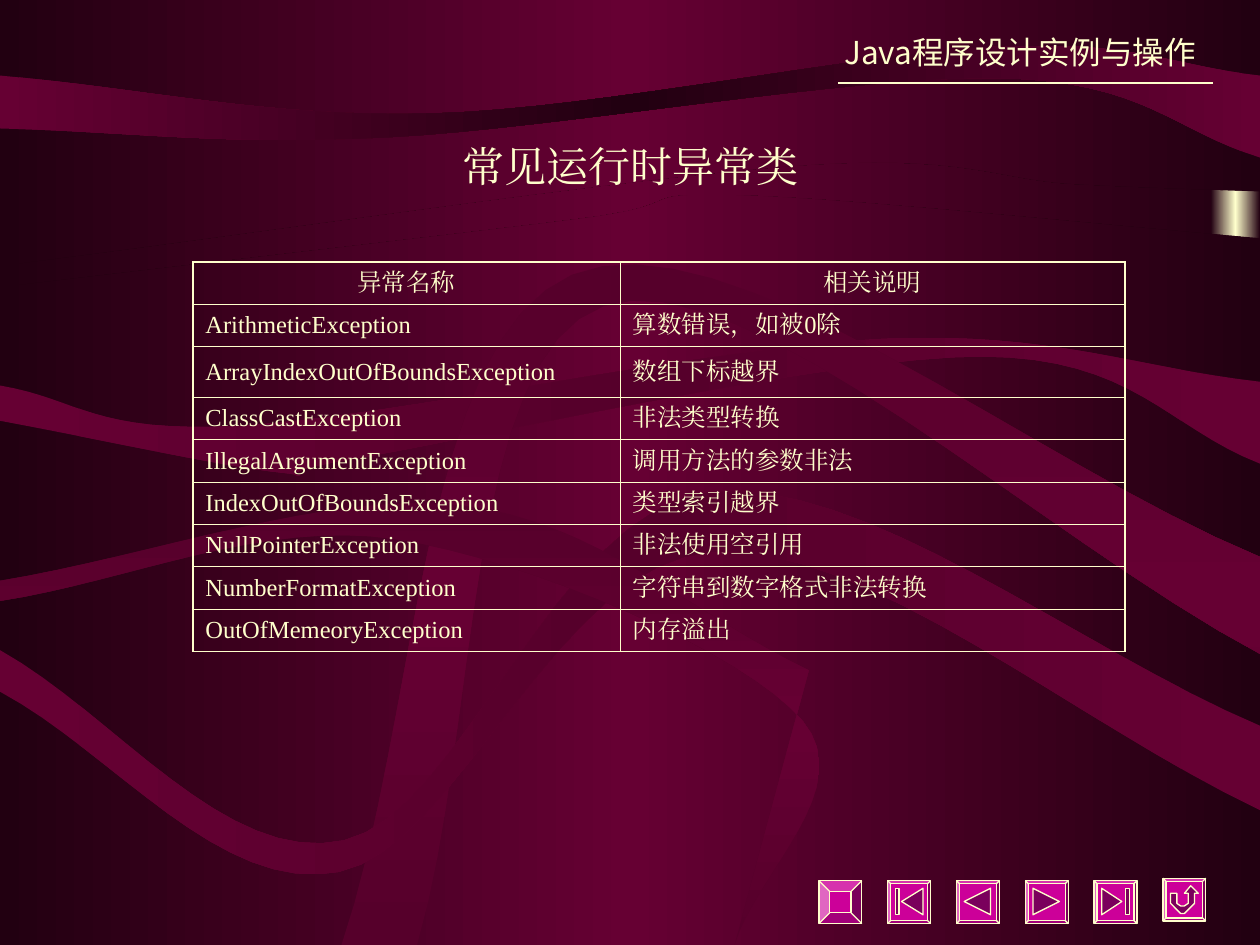
from copy import deepcopy

from lxml.etree import SubElement
from pptx import Presentation
from pptx.dml.color import RGBColor
from pptx.enum.shapes import MSO_CONNECTOR as Connector, MSO_SHAPE as Shape
from pptx.enum.text import MSO_ANCHOR as Anchor, PP_ALIGN as Align
from pptx.oxml.ns import qn
from pptx.util import Pt

PX = 9144  # 100 px to the inch
WIDTH, HEIGHT = 1000, 750
CREAM, WINE, DARK, MAROON = "FFFFCC", "660033", "220011", "56002B"
PINK, PLUM = "CC0099", "7A005C"
SERIF, SANS = "Times New Roman", "Noto Sans CJK SC"

HEADER = "Java程序设计实例与操作"
TITLE = "常见运行时异常类"
EXCEPTIONS = [
    ("异常名称", "相关说明"),
    ("ArithmeticException", "算数错误，如被0除"),
    ("ArrayIndexOutOfBoundsException", "数组下标越界"),
    ("ClassCastException", "非法类型转换"),
    ("IllegalArgumentException", "调用方法的参数非法"),
    ("IndexOutOfBoundsException", "类型索引越界"),
    ("NullPointerException", "非法使用空引用"),
    ("NumberFormatException", "字符串到数字格式非法转换"),
    ("OutOfMemeoryException", "内存溢出"),
]
TABLE = dict(left=153, top=208, height=309, columns=(339, 401), tall_row=2, tall=40)

RIBBONS = [  # edge colour, middle colour, angle, upper curve, lower curve
    (DARK, WINE, 180, [(0, 0), (WIDTH, 0)], [(0, 211), (625, 132), (852, 146), (WIDTH, 152)]),
    (DARK, WINE, 180, [(0, 228), (458, 174), (586, 155), (WIDTH, 189)],
     [(0, HEIGHT), (WIDTH, HEIGHT)]),
    (WINE, DARK, 180, [(0, 60), (345, 90), (792, 37), (WIDTH, 60)],
     [(0, 102), (308, 109), (794, 62), (WIDTH, 125)]),
    (WINE, MAROON, 180, [(0, 306), (190, 338), (701, 269), (WIDTH, 303)],
     [(0, 334), (222, 375), (282, 364), (780, 283), (WIDTH, 368)]),
    (MAROON, WINE, 90, [(271, HEIGHT), (454, 218), (WIDTH, 442)],
     [(331, HEIGHT), (479, 243), (WIDTH, 519)]),
    (WINE, MAROON, 180, [(0, 516), (273, 667), (562, 391), (WIDTH, 576)],
     [(0, 549), (269, 692), (565, 438), (WIDTH, 643)]),
    (MAROON, WINE, 90, [(0, 461), (366, 401), (642, 532)],
     [(0, 477), (314, 428), (637, 572), (583, HEIGHT)]),
]

BUTTON = dict(left=650, top=699, pitch=54.6, size=34)
ARROW_TOP, ARROW_BOTTOM, BAR_WIDTH = 6, 27, 3
BUTTONS = [  # what each button shows, inside its own square
    dict(bevel=0.25),
    dict(arrow=(28, 11), bar=6),
    dict(arrow=(27, 6)),
    dict(arrow=(6, 27)),
    dict(arrow=(6, 22), bar=25),
    dict(raised=2, outline=[(6, 12), (11, 12), (11, 20), (14, 22), (17, 22), (20, 20),
                            (20, 12), (17, 12), (22, 6), (28, 12), (25, 12), (25, 20),
                            (17, 28), (14, 28), (6, 20)]),
]


def color(value):
    return RGBColor.from_string(value)


def emu(*lengths):
    return [round(length * PX) for length in lengths]


def smooth(knots, parts=16):
    """Points of a Catmull-Rom curve through the knots."""
    def mirror(end, inner):
        return tuple(2 * e - i for e, i in zip(end, inner))

    padded = [mirror(*knots[:2]), *knots, mirror(*knots[:-3:-1])]
    points = [knots[0]]
    for before, start, end, after in zip(padded, padded[1:], padded[2:], padded[3:]):
        for part in range(1, parts + 1):
            t = part / parts
            points.append(tuple(
                q + t * (r - p + t * (2 * p - 5 * q + 4 * r - s
                                      + t * (3 * (q - r) + s - p))) / 2
                for p, q, r, s in zip(before, start, end, after)))
    return points


def add_outline(page, points, left=0, top=0):
    corners = [emu(left + x, top + y) for x, y in points]
    builder = page.shapes.build_freeform(*corners[0])
    builder.add_line_segments(corners[1:], close=True)
    return builder.convert_to_shape()


def fade(fill, edge, middle, angle):
    """Three-stop gradient, the same colour at both ends."""
    fill.gradient()
    fill.gradient_angle = angle
    first = fill.gradient_stops[0]._gs
    first.addnext(deepcopy(first))
    for stop, value, place in zip(fill.gradient_stops, (edge, middle, edge), (0, 0.5, 1)):
        stop.color.rgb = color(value)
        stop.position = place


def paint(shape, fill=None, line=None):
    shape.shadow.inherit = False
    if fill:
        shape.fill.solid()
        shape.fill.fore_color.rgb = color(fill)
    if line:
        shape.line.color.rgb = color(line)
        shape.line.width = Pt(0.75)
    else:
        shape.line.fill.background()


def write(frame, text, size, font, align):
    para = frame.paragraphs[0]
    para.alignment = align
    span = para.add_run()
    span.text = text
    for name, value in dict(size=Pt(size), name=font, bold=False).items():
        setattr(span.font, name, value)
    span.font.color.rgb = color(CREAM)
    SubElement(span._r.rPr, qn("a:ea"), typeface=font)


def add_text(page, place, text, size, font, align, left_inset=10):
    frame = page.shapes.add_textbox(*emu(*place)).text_frame
    frame.word_wrap = True
    frame.margin_left = left_inset * PX
    write(frame, text, size, font, align)


def add_borders(cell, widths):
    for side, width in zip("LRTB", widths):
        line = SubElement(cell._tc.get_or_add_tcPr(), qn(f"a:ln{side}"), w=str(Pt(width)))
        SubElement(SubElement(line, qn("a:solidFill")), qn("a:srgbClr"), val=CREAM)


def add_exceptions(page):
    last_row, last_column = len(EXCEPTIONS) - 1, len(TABLE["columns"]) - 1
    place = emu(TABLE["left"], TABLE["top"], sum(TABLE["columns"]), TABLE["height"])
    table = page.shapes.add_table(last_row + 1, last_column + 1, *place).table
    table.first_row = table.horz_banding = False
    for column, width in zip(table.columns, TABLE["columns"]):
        column.width = width * PX
    usual = (TABLE["height"] - TABLE["tall"]) / last_row
    for r, texts in enumerate(EXCEPTIONS):
        table.rows[r].height = emu(TABLE["tall"] if r == TABLE["tall_row"] else usual)[0]
        for c, text in enumerate(texts):
            cell = table.cell(r, c)
            cell.vertical_anchor = Anchor.MIDDLE
            outer = (c == 0, c == last_column, r == 0, r == last_row)
            add_borders(cell, [1.08 if edge else 0.45 for edge in outer])
            cell.fill.background()
            write(cell.text_frame, text, 14, SERIF, Align.LEFT if r else Align.CENTER)


def add_button(page, order, arrow=None, bar=None, outline=None, bevel=0.07, raised=0):
    left = BUTTON["left"] + order * BUTTON["pitch"]
    top = BUTTON["top"] - raised
    button = page.shapes.add_shape(Shape.BEVEL, *emu(left, top, BUTTON["size"], BUTTON["size"]))
    button.adjustments[0] = bevel
    paint(button, PINK, CREAM)
    glyphs = [outline] if outline else []
    if arrow:
        base, tip = arrow
        middle = (ARROW_TOP + ARROW_BOTTOM) / 2
        glyphs.append([(base, ARROW_TOP), (tip, middle), (base, ARROW_BOTTOM)])
    if bar:
        right = bar + BAR_WIDTH
        glyphs.append([(bar, ARROW_TOP), (right, ARROW_TOP),
                       (right, ARROW_BOTTOM), (bar, ARROW_BOTTOM)])
    for glyph in glyphs:
        paint(add_outline(page, glyph, left, top), PLUM, CREAM)


def main():
    deck = Presentation()
    deck.slide_width, deck.slide_height = emu(WIDTH, HEIGHT)
    page = deck.slides.add_slide(deck.slide_layouts[6])
    fade(page.background.fill, DARK, WINE, 180)

    glow = page.shapes.add_shape(Shape.RECTANGLE, *emu(961, 49, 39, 345))
    paint(glow)
    fade(glow.fill, DARK, CREAM, 180)
    for edge, middle, angle, upper, lower in RIBBONS:
        ribbon = add_outline(page, smooth(upper) + smooth(lower)[::-1])
        paint(ribbon)
        fade(ribbon.fill, edge, middle, angle)
    for order, button in enumerate(BUTTONS):
        add_button(page, order, **button)

    rule = page.shapes.add_connector(Connector.STRAIGHT, *emu(665, 66, 963, 66))
    rule.line.color.rgb = color(CREAM)
    rule.line.width = Pt(0.75)
    SubElement(rule._element.spPr, qn("a:effectLst"))
    add_text(page, (642, 21, 317, 40), HEADER, 18, SANS, Align.RIGHT)
    add_text(page, (177, 107, 630, 50), TITLE, 24, SERIF, Align.CENTER, left_inset=26)
    add_exceptions(page)
    deck.save("out.pptx")


if __name__ == "__main__":
    main()
